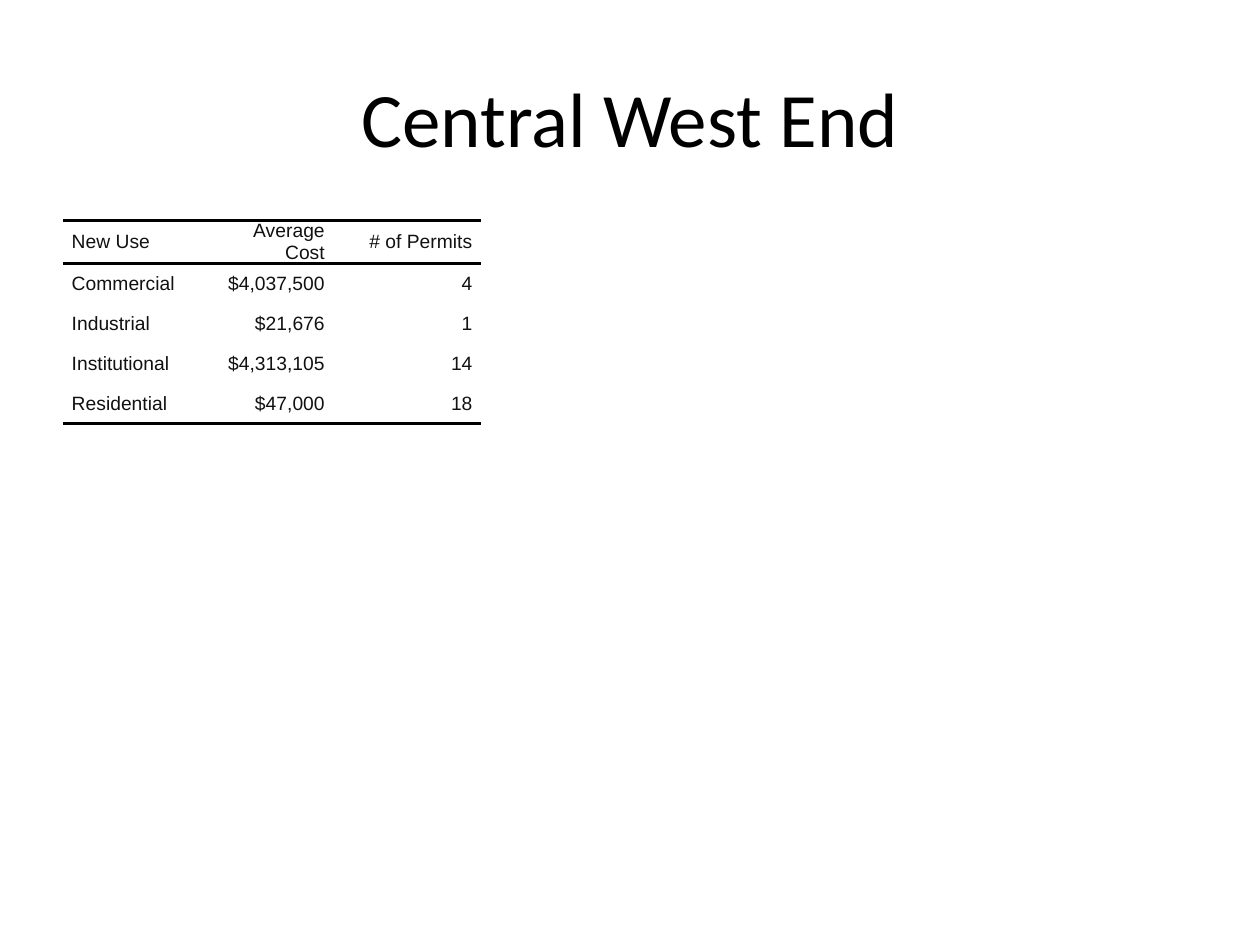
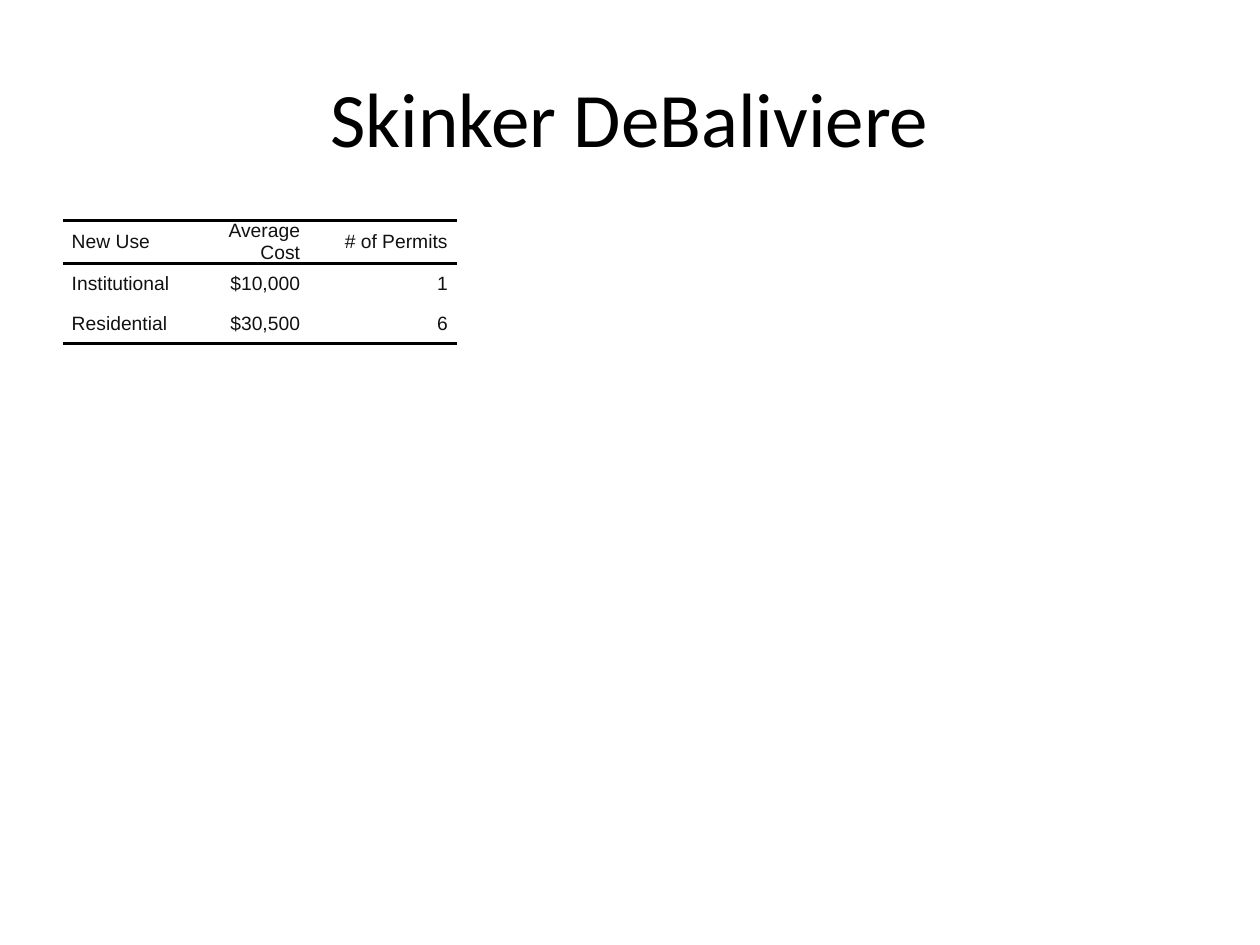
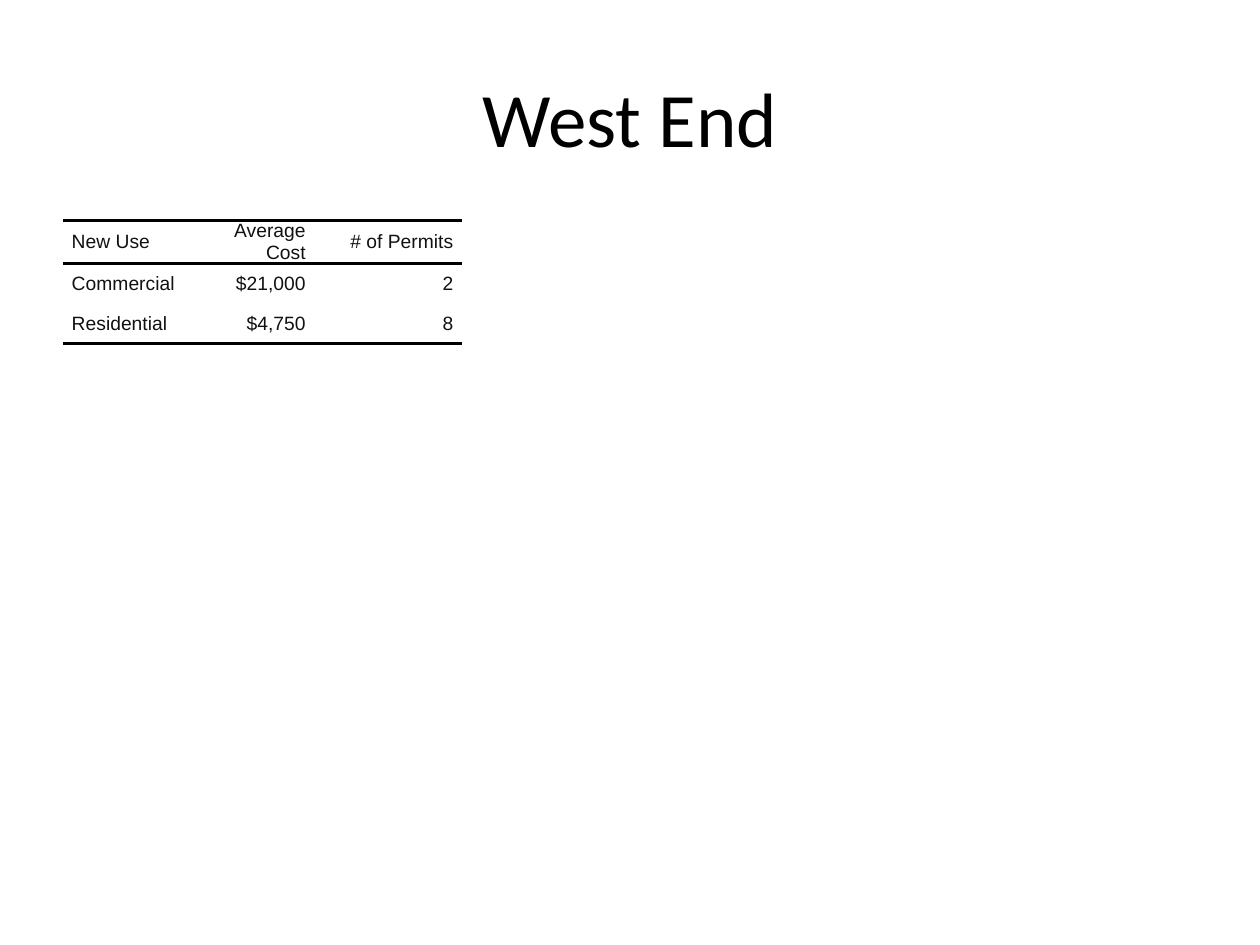
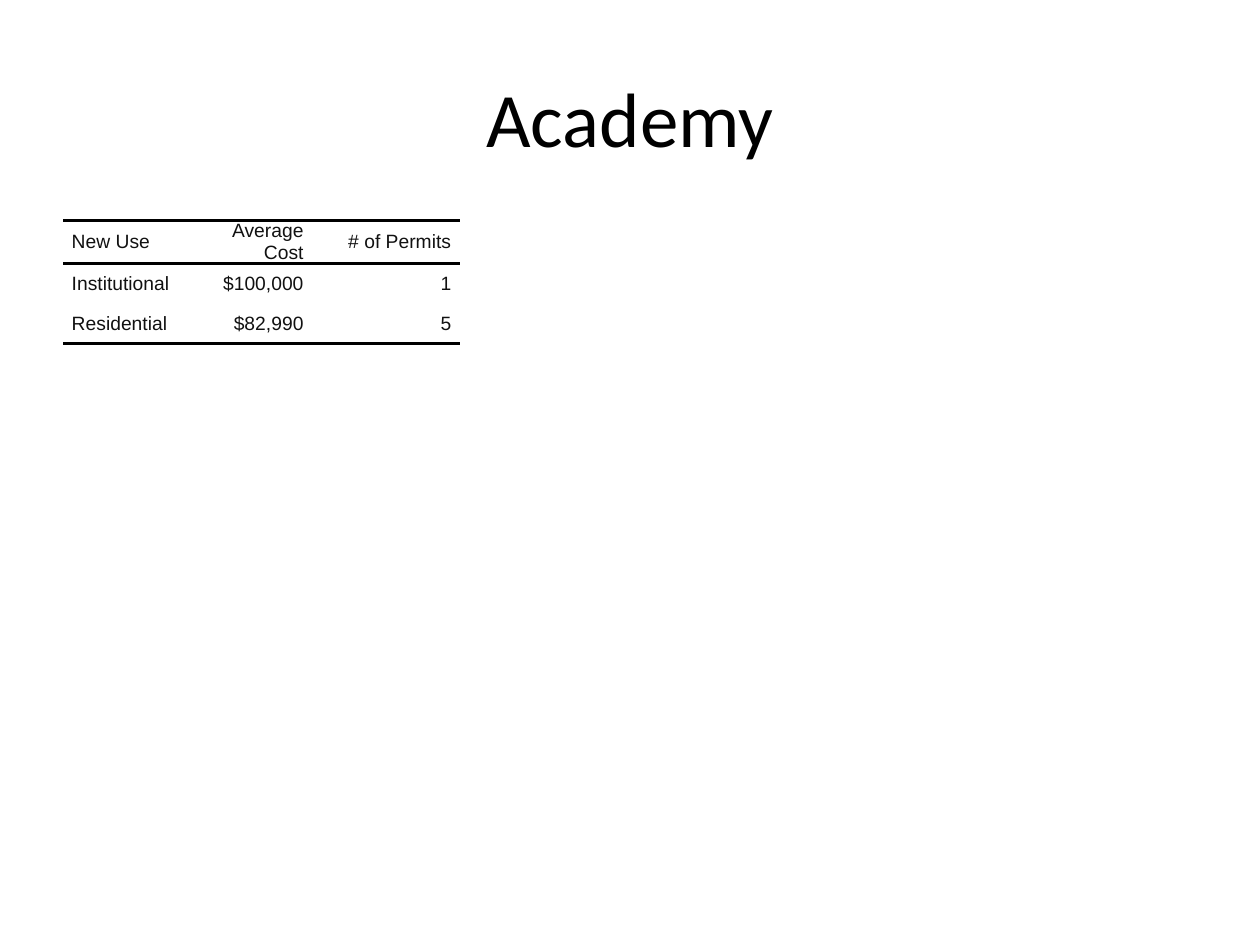
"""Build four neighbourhood slides, each with a table of building permits."""
from dataclasses import dataclass

from lxml.etree import SubElement
from pptx import Presentation
from pptx.dml.color import RGBColor
from pptx.enum.text import MSO_ANCHOR, PP_ALIGN
from pptx.oxml.ns import qn
from pptx.util import Pt


@dataclass(frozen=True)
class Theme:
    """Colours, fonts and sizes shared by all slides."""

    title_font: str = "Calibri"
    title_size: float = 44
    title_color: str = "000000"
    table_font: str = "Arial"
    table_size: float = 11
    table_color: str = "111111"
    rule_color: str = "000000"
    rule_width: float = 2
    cell_indent: float = 5
    cell_spacing: float = 2
    header_height: float = 22.5
    row_height: float = 22.9
    plain_style: str = "{2D5ABB26-0587-4C30-8999-92F81FD0307C}"


@dataclass(frozen=True)
class Box:
    """A rectangle in points."""

    left: float
    top: float
    width: float
    height: float


THEME = Theme()
PAGE = Box(0, 0, 720, 540)
TITLE_BOX = Box(36, 21.6, 648, 90)
TABLE_BOX = Box(36, 126, 648, 356.4)
HEADINGS = ("New Use", "Average Cost", "# of Permits")
PERMIT_COLUMN = 84.4

NEIGHBOURHOODS = (
    ("Central West End", (79.2, 75.4), (
        ("Commercial", "$4,037,500", "4"),
        ("Industrial", "$21,676", "1"),
        ("Institutional", "$4,313,105", "14"),
        ("Residential", "$47,000", "18"),
    )),
    ("Skinker DeBaliviere", (76, 64.5), (
        ("Institutional", "$10,000", "1"),
        ("Residential", "$30,500", "6"),
    )),
    ("West End", (79.2, 64.5), (
        ("Commercial", "$21,000", "2"),
        ("Residential", "$4,750", "8"),
    )),
    ("Academy", (76, 66.5), (
        ("Institutional", "$100,000", "1"),
        ("Residential", "$82,990", "5"),
    )),
)


def write_text(frame, text, *, font, size, color, align, spacing=0, indent=0):
    """Write one formatted paragraph into a text frame."""
    para = frame.paragraphs[0]
    para.alignment = align
    para.space_before = para.space_after = Pt(spacing)
    if indent:
        properties = para._p.get_or_add_pPr()
        for side in ("marL", "marR"):
            properties.set(side, str(Pt(indent)))
        properties.set("indent", "0")
    span = para.add_run()
    span.text = text
    span.font.name = font
    span.font.size = Pt(size)
    span.font.color.rgb = RGBColor.from_string(color)


def add_rule(cell, side):
    """Draw a solid rule on one side of a cell, named as its line tag."""
    line = SubElement(cell._tc.get_or_add_tcPr(), qn(f"a:{side}"), w=str(Pt(THEME.rule_width)))
    fill = SubElement(line, qn("a:solidFill"))
    SubElement(fill, qn("a:srgbClr"), val=THEME.rule_color)


def fill_title(page, box, text):
    """Place and format the title placeholder."""
    title = page.shapes.title
    title.left, title.top = Pt(box.left), Pt(box.top)
    title.width, title.height = Pt(box.width), Pt(box.height)
    title.text_frame.vertical_anchor = MSO_ANCHOR.MIDDLE
    write_text(title.text_frame, text, font=THEME.title_font, size=THEME.title_size,
               color=THEME.title_color, align=PP_ALIGN.CENTER)


def fill_cell(cell, text, *, align, rules):
    """Format one table cell with its text and rules."""
    cell.margin_left = cell.margin_right = cell.margin_top = cell.margin_bottom = 0
    cell.vertical_anchor = MSO_ANCHOR.MIDDLE
    for side in rules:
        add_rule(cell, side)
    cell.fill.background()
    write_text(cell.text_frame, text, font=THEME.table_font, size=THEME.table_size,
               color=THEME.table_color, align=align, spacing=THEME.cell_spacing,
               indent=THEME.cell_indent)


def add_permit_table(page, box, widths, records):
    """Add a ruled permit table at the top left of the box."""
    rows = (HEADINGS, *records)
    heights = [THEME.header_height] + [THEME.row_height] * len(records)
    frame = page.shapes.add_table(len(rows), len(widths), Pt(box.left), Pt(box.top),
                                  Pt(sum(widths)), Pt(sum(heights)))
    table = frame.table
    table.first_row = table.horz_banding = False
    table._tbl.tblPr.find(qn("a:tableStyleId")).text = THEME.plain_style
    for column, width in zip(table.columns, widths):
        column.width = Pt(width)
    rules = {0: ("lnT", "lnB"), len(records): ("lnB",)}
    for row_index, (values, height) in enumerate(zip(rows, heights)):
        table.rows[row_index].height = Pt(height)
        for column_index, value in enumerate(values):
            fill_cell(table.cell(row_index, column_index), value,
                      align=PP_ALIGN.RIGHT if column_index else PP_ALIGN.LEFT,
                      rules=rules.get(row_index, ()))


def main():
    """Build and save the deck."""
    deck = Presentation()
    deck.slide_width, deck.slide_height = Pt(PAGE.width), Pt(PAGE.height)
    for name, widths, records in NEIGHBOURHOODS:
        page = deck.slides.add_slide(deck.slide_layouts[5])
        fill_title(page, TITLE_BOX, name)
        add_permit_table(page, TABLE_BOX, (*widths, PERMIT_COLUMN), records)
    deck.save("out.pptx")


if __name__ == "__main__":
    main()
